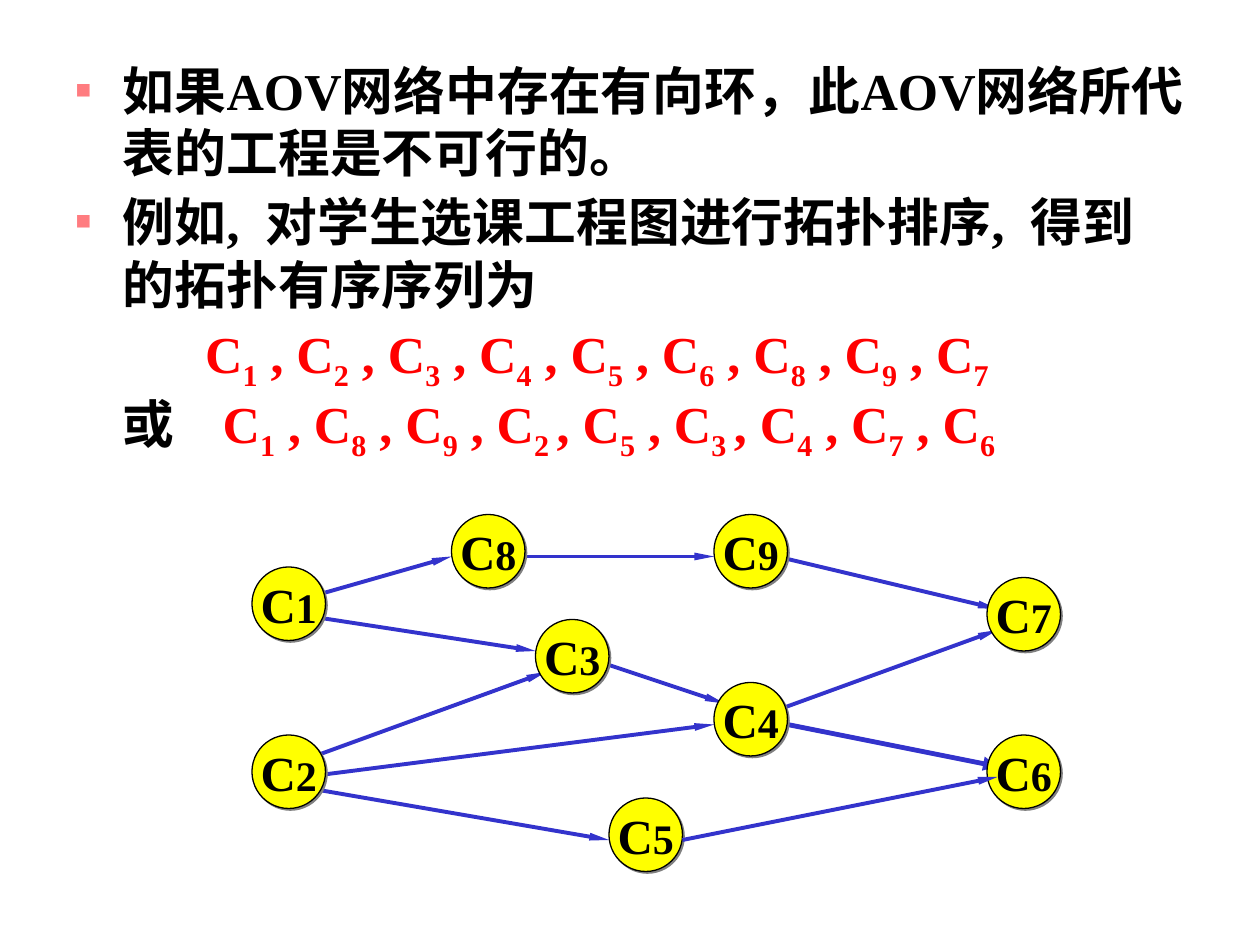
"""Build the slide on topological order in an AOV network of courses."""
from lxml import etree
from pptx import Presentation
from pptx.dml.color import RGBColor
from pptx.enum import shapes, text
from pptx.oxml import ns
from pptx.util import Pt

BLACK = RGBColor(0x00, 0x00, 0x00)
RED = RGBColor(0xFF, 0x00, 0x00)
YELLOW = RGBColor(0xFF, 0xFF, 0x00)
BLUE = RGBColor(0x33, 0x33, 0xCC)
PINK = RGBColor(0xFF, 0x7C, 0x80)
GREY = RGBColor(0x80, 0x80, 0x80)
FONT = "Times New Roman"
BODY_SIZE = 29.6
DIAMETER = 42

STATEMENTS = [
    "如果AOV网络中存在有向环，此AOV网络所代表的工程是不可行的。",
    "例如,  对学生选课工程图进行拓扑排序,  得到的拓扑有序序列为",
]
ORDERS = [
    {"lead": "", "courses": ["1", "2", "3", "4", "5", "6", "8", "9", "7"],
     "left": 74, "indent": 0, "before": 4},
    {"lead": "或\t", "courses": ["1", "8", "9", "2 ", "5", "3 ", "4", "7", "6"],
     "left": 84, "indent": -57, "before": 0},
]
COURSES = {
    "8": (258, 294), "3": (306, 354), "5": (348, 456),
    "4": (408, 390), "9": (408, 294), "6": (564, 420),
    "7": (564, 330), "1": (144, 324), "2": (144, 420),
}
SLIM = {"w": "sm", "len": "lg"}
MEDIUM = {"w": "med", "len": "med"}
PREREQUISITES = [
    ((174, 444), (408, 414), 2.25, SLIM),
    ((342, 378), (414, 402), 2.25, SLIM),
    ((444, 318), (570, 348), 2.25, SLIM),
    ((438, 408), (570, 360), 2.25, SLIM),
    ((282, 318), (408, 318), 2.25, SLIM),
    ((450, 414), (570, 438), 2.75, MEDIUM),
    ((174, 450), (348, 480), 2.25, SLIM),
    ((180, 432), (312, 384), 2.25, SLIM),
    ((150, 348), (306, 372), 2.25, SLIM),
    ((174, 342), (258, 318), 2.25, SLIM),
]
TOP_PREREQUISITE = ((390, 480), (570, 444), 2.25, SLIM)


def add_child(parent, tag, **attributes):
    return etree.SubElement(parent, ns.qn(tag), attributes)


def add_text(paragraph, words, size=BODY_SIZE, color=BLACK, baseline=None):
    run = paragraph.add_run()
    run.text = words
    run.font.name = FONT
    run.font.size = Pt(size)
    run.font.bold = True
    run.font.color.rgb = color
    if baseline:
        run.font._element.set("baseline", str(baseline * 1000))


def format_paragraph(paragraph, left=27, indent=-27, before=4, bullet=None):
    paragraph.space_before = Pt(before)
    properties = paragraph._p.get_or_add_pPr()
    properties.set("marL", str(Pt(left)))
    properties.set("indent", str(Pt(indent)))
    if bullet:
        add_child(add_child(properties, "a:buClr"), "a:srgbClr", val=str(PINK))
        add_child(properties, "a:buSzPct", val="50000")
        add_child(properties, "a:buFont", typeface=FONT)
        add_child(properties, "a:buChar", char=bullet)
    else:
        add_child(properties, "a:buNone")


def fill_body(body):
    body.left, body.top, body.width, body.height = Pt(36), Pt(30), Pt(648), Pt(252)
    frame = body.text_frame
    frame.auto_size = text.MSO_AUTO_SIZE.NONE
    paragraphs = [frame.paragraphs[0]]
    while len(paragraphs) < len(STATEMENTS) + len(ORDERS):
        paragraphs.append(frame.add_paragraph())
    for paragraph, statement in zip(paragraphs, STATEMENTS):
        format_paragraph(paragraph, bullet="■")
        add_text(paragraph, statement)
    for paragraph, order in zip(paragraphs[len(STATEMENTS):], ORDERS):
        format_paragraph(paragraph, order["left"], order["indent"], order["before"])
        if order["lead"]:
            add_text(paragraph, order["lead"])
        separator = "C"
        for course in order["courses"]:
            add_text(paragraph, separator, color=RED)
            add_text(paragraph, course, color=RED, baseline=-25)
            separator = ", C" if course.endswith(" ") else " , C"


def add_prerequisite(slide, start, end, width, head):
    arrow = slide.shapes.add_connector(
        shapes.MSO_CONNECTOR.STRAIGHT, *map(Pt, start + end))
    arrow.line.color.rgb = BLUE
    arrow.line.width = Pt(width)
    add_child(arrow.line._get_or_add_ln(), "a:tailEnd", type="triangle", **head)
    add_child(arrow._element.spPr, "a:effectLst")


def add_course(slide, number, left, top):
    course = slide.shapes.add_shape(
        shapes.MSO_SHAPE.OVAL, Pt(left), Pt(top), Pt(DIAMETER), Pt(DIAMETER))
    course.fill.solid()
    course.fill.fore_color.rgb = YELLOW
    course.line.color.rgb = BLACK
    course.line.width = Pt(0.75)
    course.shadow.inherit = False
    effects = course._element.spPr.find(ns.qn("a:effectLst"))
    shadow = add_child(effects, "a:outerShdw", dist=str(Pt(1.4)), dir="2700000",
                       algn="ctr", rotWithShape="0")
    add_child(shadow, "a:srgbClr", val=str(GREY))
    frame = course.text_frame
    frame.word_wrap = False
    frame.vertical_anchor = text.MSO_ANCHOR.MIDDLE
    label = frame.paragraphs[0]
    label.alignment = text.PP_ALIGN.CENTER
    add_text(label, "C", size=28)
    add_text(label, number, size=24)


def main():
    deck = Presentation()
    deck.slide_width, deck.slide_height = Pt(720), Pt(540)
    slide = deck.slides.add_slide(deck.slide_layouts[1])
    title = slide.shapes.title._element
    title.getparent().remove(title)
    fill_body(slide.placeholders[1])
    for prerequisite in PREREQUISITES:
        add_prerequisite(slide, *prerequisite)
    for number, (left, top) in COURSES.items():
        add_course(slide, number, left, top)
    add_prerequisite(slide, *TOP_PREREQUISITE)
    deck.save("out.pptx")


if __name__ == "__main__":
    main()
